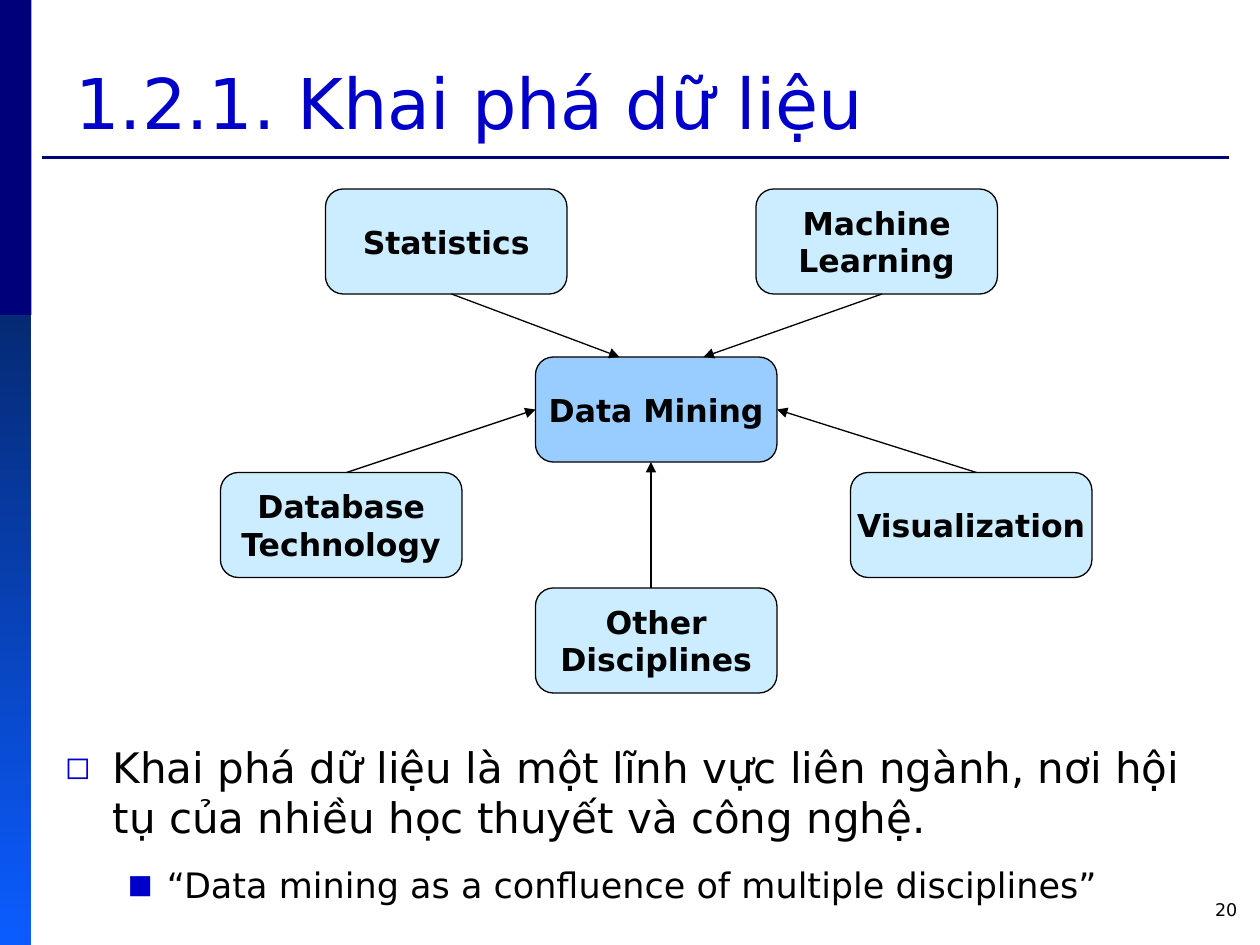
from pptx import Presentation
from pptx.dml.color import RGBColor
from pptx.enum.shapes import MSO_CONNECTOR as Link, MSO_SHAPE as Form
from pptx.enum.text import MSO_ANCHOR as Anchor, PP_ALIGN as Align
from pptx.oxml.ns import qn
from pptx.util import Inches, Pt
from lxml.etree import SubElement as Sub

COLS, ROWS = 120, 90
NAVY, BLUE, BLACK = "00007A", "0000CA", "000000"
PALE, SKY = "CCECFF", "99CCFF"
BOX_W, BOX_H = 23, 10


def tint(code):
    return RGBColor.from_string(code)


def assign(item, values):
    for name, value in values.items():
        setattr(item, name, value)


class Board:
    face = "DejaVu Sans"

    def __init__(self, deck):
        self.slide = deck.slides.add_slide(deck.slide_layouts[6])
        self.shapes = self.slide.shapes
        self.wide = deck.slide_width
        self.high = deck.slide_height

    def spot(self, col, row):
        return round(self.wide * col / COLS), round(self.high * row / ROWS)

    def area(self, col, row, cols, rows):
        return *self.spot(col, row), *self.spot(cols, rows)

    def label(self, para, words, size, color=BLACK, bold=False, **form):
        assign(para, form)
        run = para.add_run()
        run.text = words
        assign(run.font, {"name": self.face, "size": Pt(size), "bold": bold})
        run.font.color.rgb = tint(color)

    def text(self, place, words, size, color=BLACK, anchor=Anchor.TOP, **form):
        frame = self.shapes.add_textbox(*self.area(*place)).text_frame
        assign(frame, {"word_wrap": True, "vertical_anchor": anchor})
        self.label(frame.paragraphs[0], words, size, color, **form)

    def points(self, place, items):
        frame = self.shapes.add_textbox(*self.area(*place)).text_frame
        frame.word_wrap = True
        for i, (words, size, mark, left, hang, form) in enumerate(items):
            para = frame.add_paragraph() if i else frame.paragraphs[0]
            props = para._p.get_or_add_pPr()
            props.set("marL", str(Inches(left)))
            props.set("indent", str(-Inches(hang)))
            Sub(Sub(props, qn("a:buClr")), qn("a:srgbClr"), val=BLUE)
            Sub(props, qn("a:buSzPct"), val="75000")
            Sub(props, qn("a:buFont"), typeface=self.face)
            Sub(props, qn("a:buChar"), char=mark)
            self.label(para, words, size, **form)

    def bar(self, place, *colors):
        shape = self.shapes.add_shape(Form.RECTANGLE, *self.area(*place))
        shape.shadow.inherit = False
        shape.line.fill.background()
        if len(colors) == 1:
            shape.fill.solid()
            shape.fill.fore_color.rgb = tint(colors[0])
        else:
            shape.fill.gradient()
            shape.fill.gradient_angle = 270
            for stop, color in zip(shape.fill.gradient_stops, colors):
                stop.color.rgb = tint(color)

    def box(self, col, row, words, fill=PALE, wrap=True):
        place = self.area(col, row, BOX_W, BOX_H)
        shape = self.shapes.add_shape(Form.ROUNDED_RECTANGLE, *place)
        shape.shadow.inherit = False
        shape.adjustments[0] = 0.17
        shape.fill.solid()
        shape.fill.fore_color.rgb = tint(fill)
        shape.line.color.rgb = tint(BLACK)
        shape.line.width = Pt(0.75)
        frame = shape.text_frame
        assign(frame, {"word_wrap": wrap, "vertical_anchor": Anchor.MIDDLE})
        self.label(frame.paragraphs[0], words, 18, bold=True,
                   alignment=Align.CENTER)
        return shape

    def line(self, start, end, color=BLACK, width=0.75, head=True):
        link = self.shapes.add_connector(
            Link.STRAIGHT, *self.spot(*start), *self.spot(*end))
        link.line.color.rgb = tint(color)
        link.line.width = Pt(width)
        props = link._element.spPr
        if head:
            Sub(props.find(qn("a:ln")), qn("a:tailEnd"), type="triangle")
        Sub(props, qn("a:effectLst"))
        return link


def main():
    deck = Presentation()
    assign(deck, {"slide_width": Inches(10), "slide_height": Inches(7.5)})
    board = Board(deck)

    board.bar((0, 0, 3, 30), NAVY)
    board.line((4, 15), (117, 15), NAVY, 1.5, head=False)
    board.bar((0, 30, 3, 60), "052A75", "0B5CFF")
    board.text((6, 1, 112, 13.3), "1.2.1. Khai phá dữ liệu", 40, BLUE,
               Anchor.BOTTOM)
    board.points((5, 70, 112, 20), [
        ("Khai phá dữ liệu là một lĩnh vực liên ngành, nơi hội tụ của nhiều "
         "học thuyết và công nghệ.", 24, "◻", 0.38, 0.38, {}),
        ("“Data mining as a confluence of multiple disciplines”",
         20, "■", 0.81, 0.31, {"level": 1, "space_before": Pt(12.5)}),
    ])

    core = board.box(51, 34, "Data Mining", SKY, wrap=False)
    fields = [
        (31, 18, "Statistics", True, (43, 28), (59, 34), None),
        (72, 18, "Machine Learning", True, (84, 28), (67, 34), None),
        (21, 45, "Database Technology", True, (33, 45), (51, 39), 1),
        (81, 45, "Visualization", False, (93, 45), (74, 39), 3),
        (51, 56, "Other Disciplines", True, (62, 56), (62, 44), None),
    ]
    for col, row, words, wrap, *_ in fields:
        board.box(col, row, words, wrap=wrap)
    for *_, start, end, side in fields:
        link = board.line(start, end)
        if side is not None:
            link.end_connect(core, side)

    board.text((91, 85, 28, 4), "20", 10, alignment=Align.RIGHT)
    deck.save("out.pptx")


if __name__ == "__main__":
    main()
